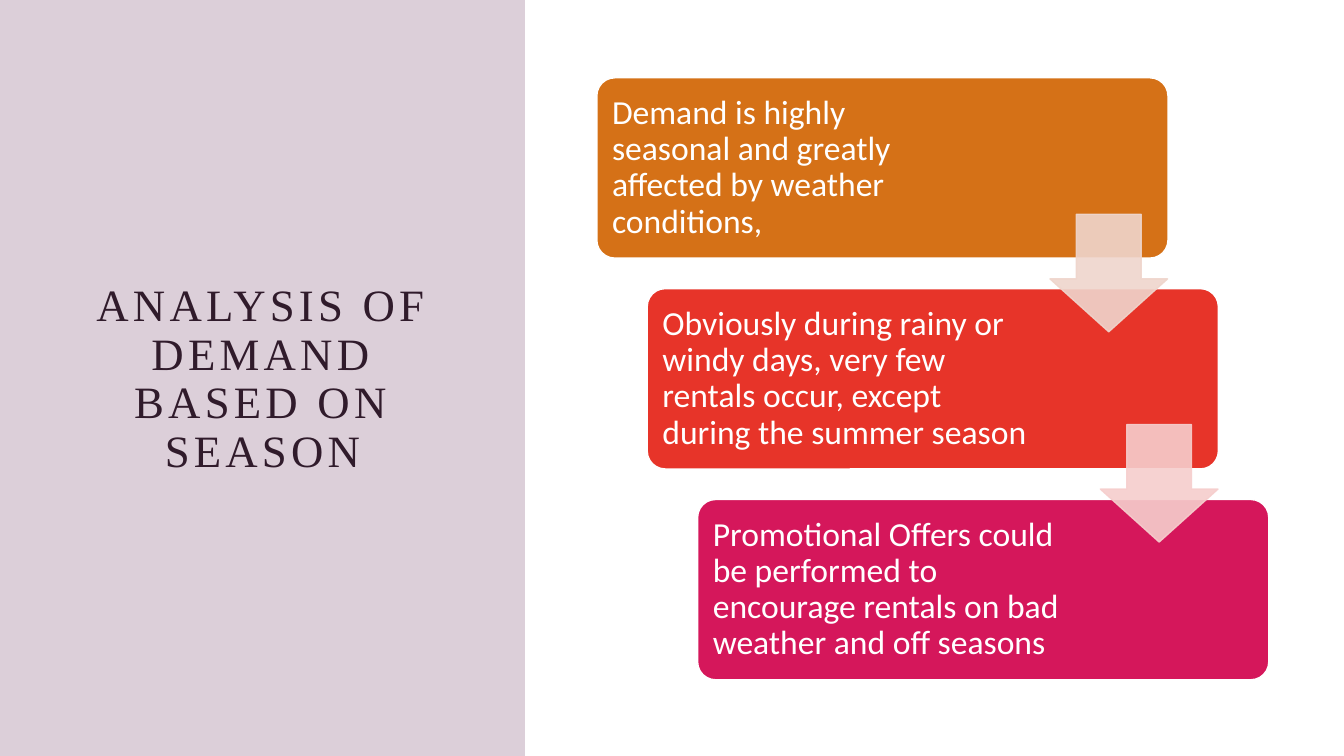
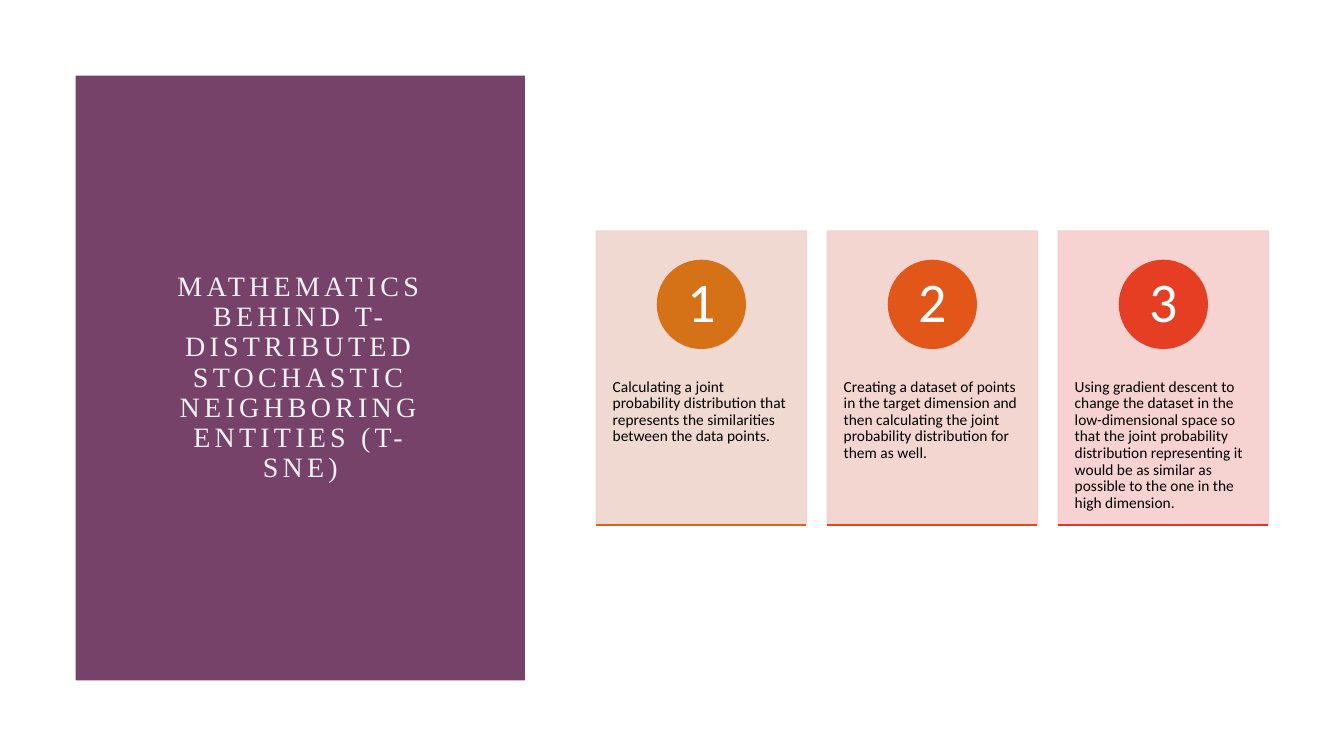
"""Build two slides: seasonal demand steps and the stages of t-SNE."""
import pptx
import pptx.dml.color
import pptx.enum.shapes
import pptx.enum.text
import pptx.oxml
import pptx.oxml.ns
import pptx.util

Pt = pptx.util.Pt
RGBColor = pptx.dml.color.RGBColor
MSO_SHAPE = pptx.enum.shapes.MSO_SHAPE
PP_ALIGN = pptx.enum.text.PP_ALIGN
MSO_ANCHOR = pptx.enum.text.MSO_ANCHOR
qn = pptx.oxml.ns.qn

PLUM = RGBColor(0x76, 0x42, 0x69)
DARK_PLUM = RGBColor(0x30, 0x1B, 0x2B)
PALE_GREY = RGBColor(0xF0, 0xF1, 0xF3)
WHITE = RGBColor(0xFF, 0xFF, 0xFF)
BLACK = RGBColor(0x00, 0x00, 0x00)
OCHRE = RGBColor(0xD5, 0x71, 0x17)
AMBER = RGBColor(0xDB, 0x64, 0x18)
ORANGE = RGBColor(0xE2, 0x56, 0x19)
CORAL = RGBColor(0xE6, 0x49, 0x1C)
SCARLET = RGBColor(0xE6, 0x3E, 0x22)
RED = RGBColor(0xE7, 0x34, 0x29)
CRIMSON = RGBColor(0xD5, 0x17, 0x5B)
SAND = RGBColor(0xEF, 0xD5, 0xCC)
BLUSH = RGBColor(0xF3, 0xD2, 0xCD)
PINK = RGBColor(0xF6, 0xCE, 0xCD)

BODY_FONT = "Calibri"
TITLE_FONT = "Times New Roman"


def add_shape(s, kind, box, fill, line=None, alpha=100, adj=()):
    """Add a preset shape with an optional outline and opacity in percent."""
    sp = s.shapes.add_shape(kind, *[Pt(v) for v in box])
    sp.shadow.inherit = False
    for i, value in enumerate(adj):
        sp.adjustments[i] = value
    sp.fill.solid()
    sp.fill.fore_color.rgb = fill
    if line is None:
        sp.line.fill.background()
    else:
        sp.line.color.rgb = line
        sp.line.width = Pt(1)
    if alpha < 100:
        for clr in sp._element.spPr.iter(qn("a:srgbClr")):
            etree_alpha = pptx.oxml.parse_xml(
                f'<a:alpha {pptx.oxml.ns.nsdecls("a")} val="{alpha * 1000}"/>')
            clr.append(etree_alpha)
    return sp


def write(sp, text, size, color, font=BODY_FONT, align=PP_ALIGN.LEFT,
          anchor=MSO_ANCHOR.MIDDLE, insets=(7.2, 3.6, 7.2, 3.6), spacing=0):
    """Put one formatted paragraph in a shape; insets are left, top, right, bottom."""
    tf = sp.text_frame
    tf.word_wrap = True
    tf.vertical_anchor = anchor
    tf.margin_left, tf.margin_top, tf.margin_right, tf.margin_bottom = map(Pt, insets)
    p = tf.paragraphs[0]
    p.alignment = align
    p.line_spacing = 0.9
    r = p.add_run()
    r.text = text
    r.font.name = font
    r.font.size = Pt(size)
    r.font.color.rgb = color
    if spacing:
        r._r.get_or_add_rPr().set("spc", str(spacing * 100))


prs = pptx.Presentation()
prs.slide_width = Pt(960)
prs.slide_height = Pt(540)

slides = []
for panel, alpha, title_box, title, size, color in [
    ((0, 0, 375, 540), 25, (54, 55.5, 267, 432),
     "ANALYSIS OF DEMAND BASED ON SEASON", 32, DARK_PLUM),
    ((54, 54, 321, 432), 100, (108, 108, 213, 324),
     "MATHEMATICS BEHIND T-DISTRIBUTED STOCHASTIC NEIGHBORING ENTITIES (T-SNE)",
     20, PALE_GREY),
]:
    s = prs.slides.add_slide(prs.slide_layouts[6])
    add_shape(s, MSO_SHAPE.RECTANGLE, panel, PLUM, alpha=alpha)
    sp = s.shapes.add_textbox(*[Pt(v) for v in title_box])
    write(sp, title, size, color, font=TITLE_FONT, align=PP_ALIGN.CENTER, spacing=3)
    slides.append(s)

demand, stages = slides

STEP_X, STEP_Y = 36, 150.6
for i, (text, fill, right) in enumerate([
    ("Demand is highly seasonal and greatly affected by weather conditions,",
     OCHRE, 139.5),
    ("Obviously during rainy or windy days, very few rentals occur, except "
     "during the summer season", RED, 128),
    ("Promotional Offers could be performed to encourage rentals on bad "
     "weather and off seasons", CRIMSON, 128),
]):
    box = (426.3 + i * STEP_X, 55.6 + i * STEP_Y, 408, 128.8)
    sp = add_shape(demand, MSO_SHAPE.ROUNDED_RECTANGLE, box, fill, WHITE, adj=[0.1])
    write(sp, text, 24, WHITE, insets=(7.2, 7.2, right, 7.2))

for i, fill in enumerate([SAND, PINK]):
    box = (750 + i * STEP_X, 153 + i * 150.2, 84, 84)
    add_shape(demand, MSO_SHAPE.DOWN_ARROW, box, fill, fill, 90, [0.55, 0.45])

CARD_W, CARD_H, CARD_TOP, CARD_STEP = 150, 210, 165, 165
CIRCLE = 62.8
for i, (text, card, circle, rule) in enumerate([
    ("Calculating a joint probability distribution that represents the "
     "similarities between the data points.", SAND, OCHRE, AMBER),
    ("Creating a dataset of points in the target dimension and then calculating "
     "the joint probability distribution for them as well.", BLUSH, ORANGE, CORAL),
    ("Using gradient descent to change the dataset in the low-dimensional space "
     "so that the joint probability distribution representing it would be as "
     "similar as possible to the one in the high dimension.", PINK, SCARLET, RED),
]):
    left = 426 + i * CARD_STEP
    sp = add_shape(stages, MSO_SHAPE.RECTANGLE, (left, CARD_TOP, CARD_W, CARD_H),
                   card, card, 90)
    write(sp, text, 11, BLACK, anchor=MSO_ANCHOR.TOP, insets=(11.7, 105.5, 11.7, 0))
    box = (left + (CARD_W - CIRCLE) / 2, CARD_TOP + 21, CIRCLE, CIRCLE)
    sp = add_shape(stages, MSO_SHAPE.OVAL, box, circle, circle)
    write(sp, str(i + 1), 40, WHITE, align=PP_ALIGN.CENTER, insets=(5, 0.7, 5, 0.7))
    bottom = Pt(CARD_TOP + CARD_H)
    line = stages.shapes.add_connector(pptx.enum.shapes.MSO_CONNECTOR.STRAIGHT,
                                       Pt(left), bottom, Pt(left + CARD_W), bottom)
    line.line.color.rgb = rule
    line.line.width = Pt(1)
    line._element.spPr.append(pptx.oxml.OxmlElement("a:effectLst")
                              if hasattr(pptx.oxml, "OxmlElement") else
                              pptx.oxml.parse_xml(
                                  f'<a:effectLst {pptx.oxml.ns.nsdecls("a")}/>'))

prs.save("out.pptx")
